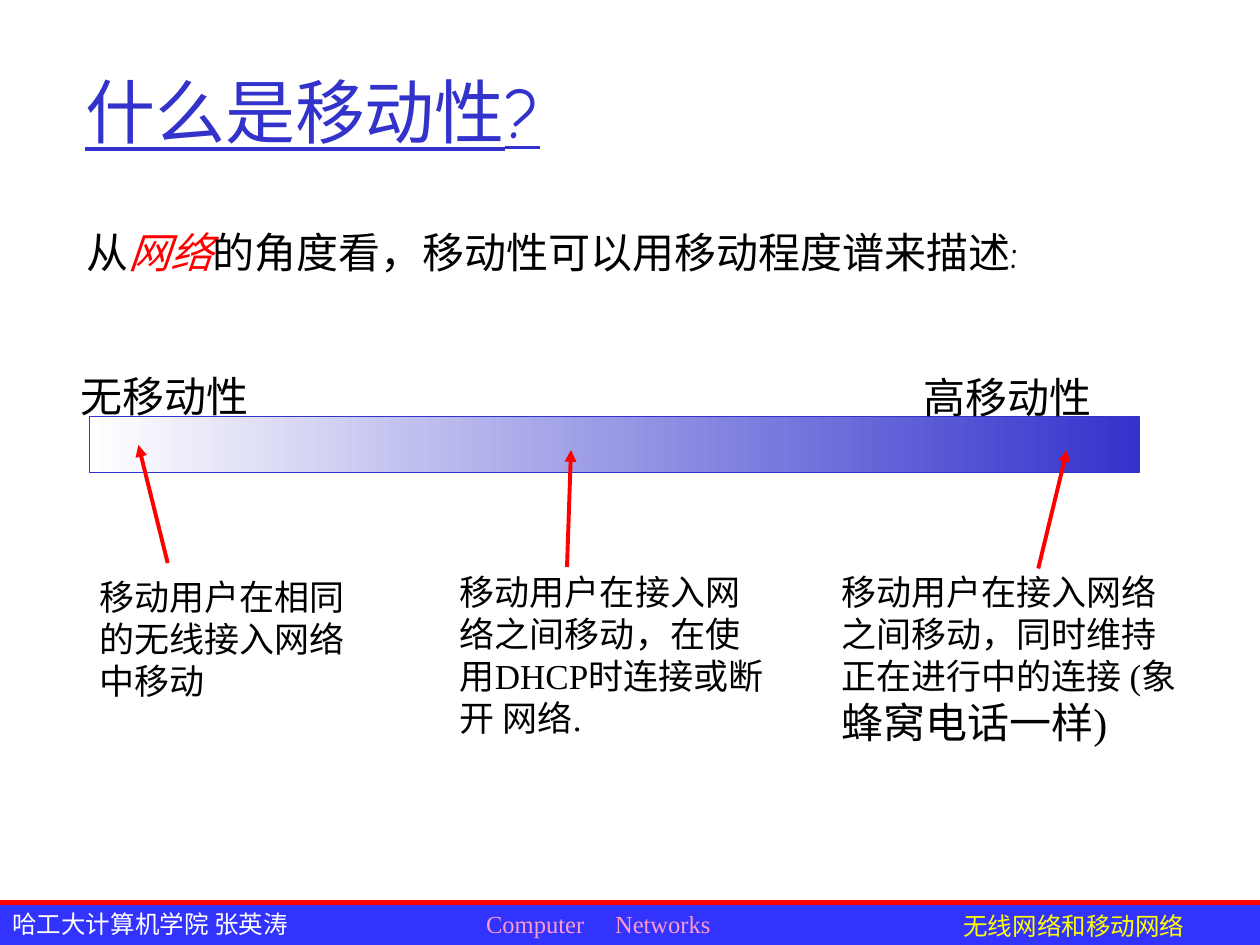
from dataclasses import dataclass

from lxml import etree
from pptx import Presentation
from pptx.dml.color import RGBColor
from pptx.enum import shapes, text
from pptx.oxml.ns import qn
from pptx.util import Cm, Pt


@dataclass(frozen=True)
class Theme:
    blue: str = "3333CC"
    footer_blue: str = "3333FF"
    red: str = "FF0000"
    pink: str = "FF99CC"
    yellow: str = "FFFF00"
    white: str = "FFFFFF"
    black: str = "000000"
    serif: str = "Times New Roman"
    comic: str = "Comic Neue"
    title: int = 40
    lead: int = 24
    note: int = 20
    footer: int = 14


THEME = Theme()


def rgb(value):
    return RGBColor.from_string(value)


def set_values(target, values):
    for name, value in values.items():
        setattr(target, name, value)


def write_runs(paragraph, runs, face, size):
    """Add runs given as (words, colour, further font values)."""
    for words, colour, extra in runs:
        run = paragraph.add_run()
        run.text = words
        set_values(run.font, {"name": face, "size": Pt(size), **extra})
        run.font.color.rgb = rgb(colour)


def add_text(slide, box, runs, face, size, wrap=True,
             align=text.PP_ALIGN.LEFT, anchor=text.MSO_ANCHOR.TOP):
    frame = slide.shapes.add_textbox(*map(Cm, box)).text_frame
    set_values(frame, {"word_wrap": wrap, "vertical_anchor": anchor})
    paragraph = frame.paragraphs[0]
    paragraph.alignment = align
    write_runs(paragraph, runs, face, size)


def add_bar(slide, box):
    bar = slide.shapes.add_shape(shapes.MSO_SHAPE.RECTANGLE, *map(Cm, box))
    bar.shadow.inherit = False
    return bar


def add_line(slide, start, end, width, arrow=False):
    line = slide.shapes.add_connector(
        shapes.MSO_CONNECTOR.STRAIGHT, *map(Cm, start + end))
    line.line.color.rgb = rgb(THEME.red)
    line.line.width = Pt(width)
    properties = line._element.spPr
    if arrow:
        etree.SubElement(properties.find(qn("a:ln")), qn("a:tailEnd"), type="triangle")
    etree.SubElement(properties, qn("a:effectLst"))


def add_footer(slide):
    bar = add_bar(slide, (0, 18.2, 25.4, 0.86))
    bar.fill.solid()
    bar.fill.fore_color.rgb = rgb(THEME.footer_blue)
    bar.line.fill.background()
    frame = bar.text_frame
    set_values(frame, {"word_wrap": True, "vertical_anchor": text.MSO_ANCHOR.TOP})
    paragraph = frame.paragraphs[0]
    paragraph.alignment = text.PP_ALIGN.LEFT
    stops = etree.SubElement(paragraph._p.get_or_add_pPr(), qn("a:tabLst"))
    for position in (9.55, 12.15):
        etree.SubElement(stops, qn("a:tab"), pos=str(Cm(position)), algn="l")
    write_runs(paragraph, [("哈工大计算机学院 张英涛\t", THEME.white, {}),
                           ("Computer\tNetworks", THEME.pink, {})],
               THEME.serif, THEME.footer)
    add_line(slide, (0, 18.2), (25.4, 18.2), 3)
    add_text(slide, (16.08, 18.24, 8.05, 0.81),
             [("无线网络和移动网络", THEME.yellow, {})],
             THEME.comic, THEME.footer, align=text.PP_ALIGN.RIGHT)


def add_heading(slide):
    add_text(slide, (1.47, 0.64, 21.59, 3.18),
             [("什么是移动性?", THEME.blue, {"underline": True})],
             THEME.comic, THEME.title, anchor=text.MSO_ANCHOR.MIDDLE)
    add_text(slide, (1.5, 4.45, 22.78, 1.6),
             [("从", THEME.black, {}),
              ("网络", THEME.red, {"italic": True}),
              ("的角度看，移动性可以用移动程度谱来描述:", THEME.black, {})],
             THEME.comic, THEME.lead)


def add_spectrum(slide):
    spectrum = add_bar(slide, (1.8, 8.4, 21.16, 1.12))
    spectrum.fill.gradient()
    spectrum.fill.gradient_angle = 0
    for stop, colour in zip(spectrum.fill.gradient_stops, (THEME.white, THEME.blue)):
        stop.color.rgb = rgb(colour)
    spectrum.line.color.rgb = rgb(THEME.blue)
    spectrum.line.width = Pt(0.75)
    for left, top, label in ((1.37, 7.34, "无移动性"), (18.36, 7.37, "高移动性")):
        add_text(slide, (left, top, 3.89, 1.27), [(label, THEME.black, {})],
                 THEME.serif, THEME.lead, wrap=False)


def add_notes(slide):
    """Describe three degrees of mobility, each with an arrow to the spectrum."""
    notes = (
        ((1.75, 11.48, 5.77, 2.79), (3.38, 11.35), (2.79, 8.97),
         [("移动用户在相同的无线接入网络中移动", THEME.black, {})]),
        ((9.02, 11.38, 6.76, 3.66), (11.43, 11.43), (11.51, 9.07),
         [("移动用户在接入网络之间移动，在使用DHCP时连接或断开 网络.", THEME.black, {})]),
        ((16.71, 11.38, 7.47, 3.81), (20.93, 11.46), (21.51, 9.07),
         [("移动用户在接入网络之间移动，同时维持正在进行中的连接 (象", THEME.black, {}),
          ("蜂窝电话一样)", THEME.black, {"size": Pt(THEME.lead)})]),
    )
    for box, start, end, runs in notes:
        add_text(slide, box, runs, THEME.serif, THEME.note)
        add_line(slide, start, end, 2.25, arrow=True)


def main():
    deck = Presentation()
    set_values(deck, {"slide_width": Cm(25.4), "slide_height": Cm(19.05)})
    slide = deck.slides.add_slide(deck.slide_layouts[6])
    for add_part in (add_footer, add_heading, add_spectrum, add_notes):
        add_part(slide)
    deck.save("out.pptx")


if __name__ == "__main__":
    main()
